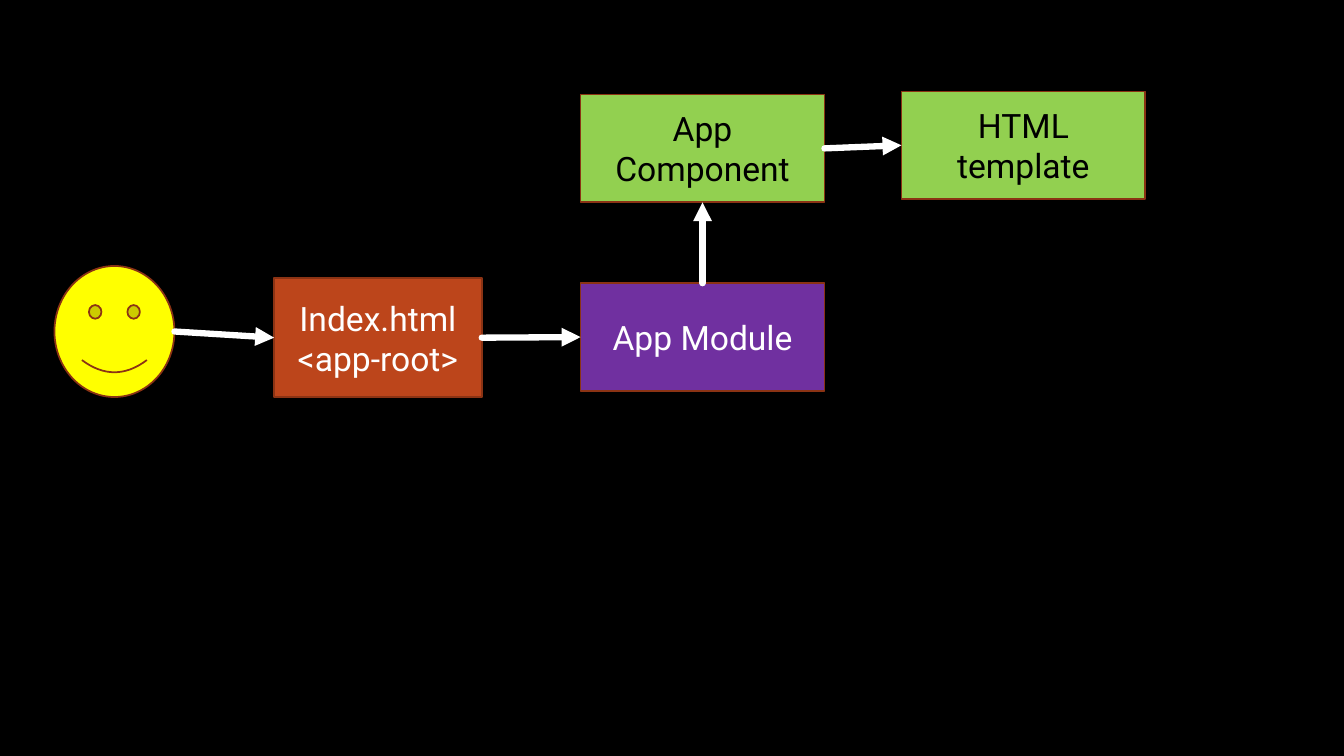
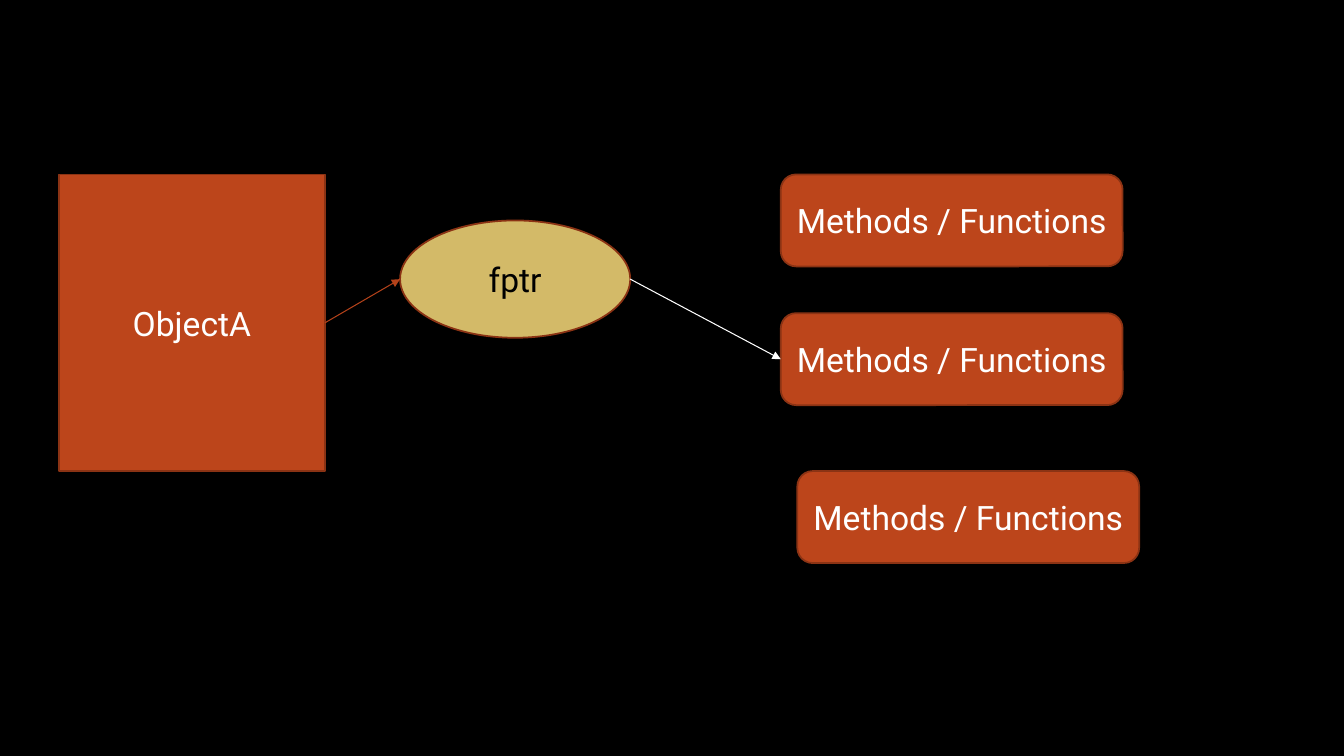
from lxml.etree import SubElement
from pptx import Presentation
from pptx.dml.color import RGBColor
from pptx.enum.shapes import MSO_CONNECTOR, MSO_SHAPE as Shape
from pptx.enum.text import MSO_ANCHOR, PP_ALIGN
from pptx.oxml.ns import qn
from pptx.util import Pt

BLACK, WHITE = "000000", "FFFFFF"
RUST, DARK_RUST, ARROW_RUST = "BC451B", "8B3314", "B4421A"
GREEN, PURPLE, SAND, YELLOW = "92D050", "7030A0", "D3BA68", "FFFF00"
FONT, TEXT_SIZE, OUTLINE = "Roboto", 24, 1.25
THICK, THIN = 4.5, 0.75
ROUND_SHAPES = (Shape.OVAL, Shape.SMILEY_FACE)


def color(hex_code):
    return RGBColor.from_string(hex_code)


class Diagram:
    """Holds the deck, its shared style and the slide being drawn."""

    def __init__(self):
        self.deck = Presentation()
        self.deck.slide_width, self.deck.slide_height = Pt(960), Pt(540)
        backdrop = self.deck.slide_master.background.fill
        backdrop.solid()
        backdrop.fore_color.rgb = color(BLACK)
        self.slide = None

    def new_slide(self):
        self.slide = self.deck.slides.add_slide(self.deck.slide_layouts[6])

    def box(self, kind, left, top, width, height, fill, lines=(), ink=WHITE):
        """Add an outlined shape with one centred paragraph per line."""
        box = self.slide.shapes.add_shape(
            kind, Pt(left), Pt(top), Pt(width), Pt(height))
        box.shadow.inherit = False
        box.fill.solid()
        box.fill.fore_color.rgb = color(fill)
        box.line.color.rgb = color(DARK_RUST)
        box.line.width = Pt(OUTLINE)
        frame = box.text_frame
        frame.word_wrap = True
        frame.vertical_anchor = MSO_ANCHOR.MIDDLE
        for index, line in enumerate(lines):
            para = frame.add_paragraph() if index else frame.paragraphs[0]
            para.alignment = PP_ALIGN.CENTER
            span = para.add_run()
            span.text = line
            span.font.name, span.font.size = FONT, Pt(TEXT_SIZE)
            span.font.color.rgb = color(ink)
        return box

    @staticmethod
    def anchor(box, side):
        """Return the connection site index and the x, y of a side's middle."""
        index = ("top", "left", "bottom", "right").index(side)
        if box.auto_shape_type in ROUND_SHAPES:
            index *= 2  # round shapes also have a site between each two sides
        across = {"left": 0, "right": 1}.get(side, 0.5)
        down = {"top": 0, "bottom": 1}.get(side, 0.5)
        return (index, int(box.left + box.width * across),
                int(box.top + box.height * down))

    def arrow(self, source, target, width, ink=WHITE,
              sides=("right", "left")):
        """Join two boxes with an arrow that stays attached to both."""
        start, x1, y1 = self.anchor(source, sides[0])
        end, x2, y2 = self.anchor(target, sides[1])
        arrow = self.slide.shapes.add_connector(
            MSO_CONNECTOR.STRAIGHT, x1, y1, x2, y2)
        arrow.line.color.rgb = color(ink)
        arrow.line.width = Pt(width)
        line = arrow.line._get_or_add_ln()
        line.set("cap", "rnd")
        SubElement(line, qn("a:round"))
        SubElement(line, qn("a:tailEnd"), type="triangle")
        SubElement(arrow._element.spPr, qn("a:effectLst"))
        joints = arrow._element.nvCxnSpPr.cNvCxnSpPr
        for tag, box, site in (("a:stCxn", source, start),
                               ("a:endCxn", target, end)):
            SubElement(joints, qn(tag), id=str(box.shape_id), idx=str(site))


def app_startup(diagram):
    diagram.new_slide()
    column, width, height = 414.7, 174.2, 77
    user = diagram.box(Shape.SMILEY_FACE, 38.9, 190, 85.7, 93.6, YELLOW)
    index_page = diagram.box(Shape.RECTANGLE, 195.8, 198.7, 148.3, 85, RUST,
                             ["Index.html", "<app-root>"])
    module = diagram.box(Shape.RECTANGLE, column, 202.3, width, height,
                         PURPLE, ["App Module"])
    component = diagram.box(Shape.RECTANGLE, column, 67.5, width, height,
                            GREEN, ["App Component"], BLACK)
    template = diagram.box(Shape.RECTANGLE, 643.9, 65.3, width, height,
                           GREEN, ["HTML template"], BLACK)
    for source, target in ((user, index_page), (index_page, module),
                           (component, template)):
        diagram.arrow(source, target, THICK)
    diagram.arrow(module, component, THICK, sides=("top", "bottom"))


def function_pointer(diagram):
    diagram.new_slide()
    methods = [
        diagram.box(Shape.ROUNDED_RECTANGLE, left, top, 244.2, 65.7, RUST,
                    ["Methods / Functions"])
        for left, top in ((557.7, 124.6), (557.7, 223.7), (569.5, 336.5))]
    pointer = diagram.box(Shape.OVAL, 285.8, 157.5, 164.4, 83.8, SAND,
                          ["fptr"], BLACK)
    caller = diagram.box(Shape.RECTANGLE, 42, 124.6, 190.2, 211.9, RUST,
                         ["ObjectA"])
    diagram.arrow(caller, pointer, THIN, ARROW_RUST)
    diagram.arrow(pointer, methods[1], THIN)


def main():
    diagram = Diagram()
    app_startup(diagram)
    function_pointer(diagram)
    diagram.deck.save("out.pptx")


if __name__ == "__main__":
    main()
